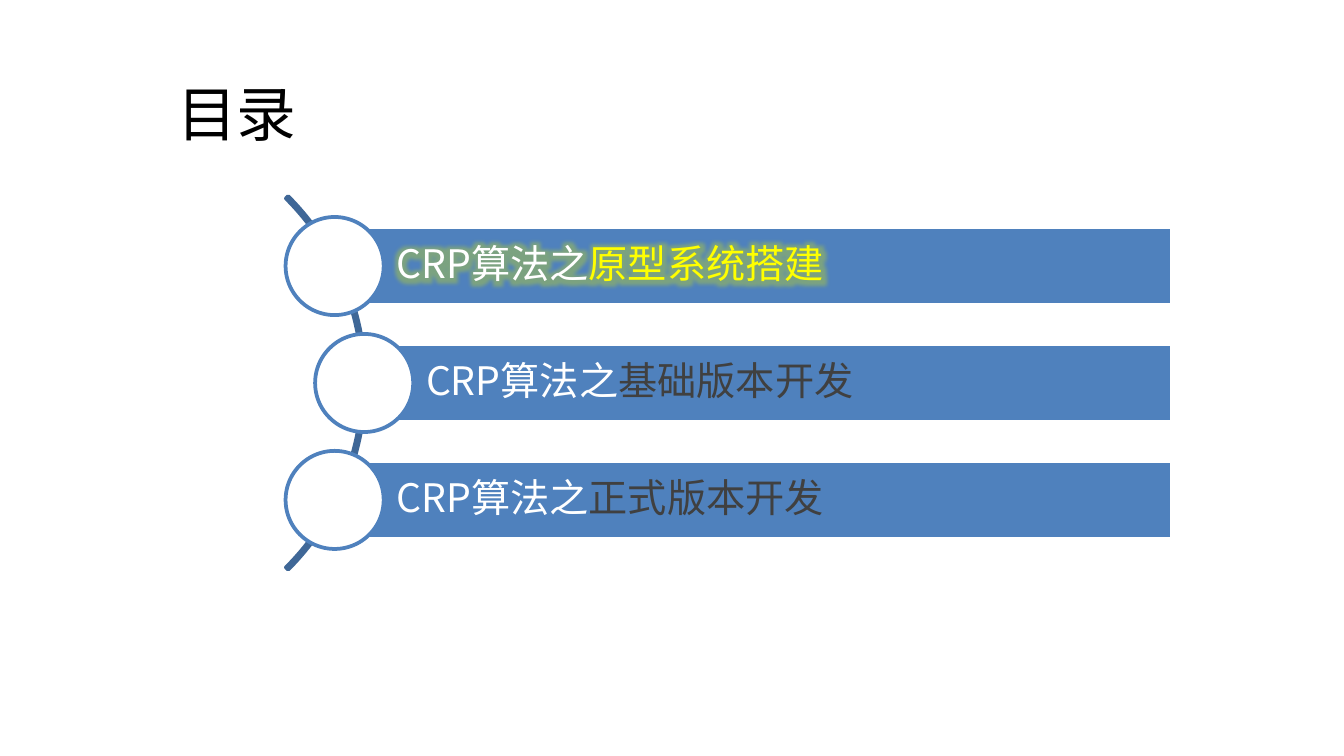
from lxml import etree
from pptx import Presentation
from pptx import util as u
from pptx.dml.color import RGBColor
from pptx.enum import shapes, text
from pptx.oxml import ns

FONT = "Noto Sans CJK SC"
BLACK = RGBColor(0x00, 0x00, 0x00)
WHITE = RGBColor(0xFF, 0xFF, 0xFF)
BLUE = RGBColor(0x4F, 0x81, 0xBD)
DARK_BLUE = RGBColor(0x3F, 0x67, 0x97)
YELLOW = RGBColor(0xFF, 0xFF, 0x00)
GREY = RGBColor(0x40, 0x40, 0x40)
GLOW = RGBColor(0x9B, 0xBB, 0x59)

SLIDE_WIDTH = 10
SLIDE_HEIGHT = SLIDE_WIDTH * 9 / 16
ROW_TOP, ROW_PITCH = 1.69, 0.87
BAR_HEIGHT, BAR_RIGHT = 0.58, 8.72
CIRCLE = 0.73
OUTER_LEFT, INNER_LEFT = 2.49, 2.71
ARC = 3.93

CHAPTERS = [
    ("原型系统搭建", YELLOW, OUTER_LEFT, True),
    ("基础版本开发", GREY, INNER_LEFT, False),
    ("正式版本开发", GREY, OUTER_LEFT, False),
]


def add_glow(run):
    fill = run.font._element.find(ns.qn("a:solidFill"))
    effects = etree.Element(ns.qn("a:effectLst"))
    glow = etree.SubElement(effects, ns.qn("a:glow"), rad=str(u.Pt(14)))
    colour = etree.SubElement(glow, ns.qn("a:srgbClr"), val=str(GLOW))
    etree.SubElement(colour, ns.qn("a:alpha"), val="60000")
    fill.addnext(effects)


def write(paragraph, words, size, colour, glow=False):
    run = paragraph.add_run()
    run.text = words
    run.font.size = u.Pt(size)
    run.font.color.rgb = colour
    run.font.name = FONT
    latin = run.font._element.find(ns.qn("a:latin"))
    latin.addnext(etree.Element(ns.qn("a:ea"), typeface=FONT))
    if glow:
        add_glow(run)


def set_frame(shape, left=0.1, other=0.05):
    frame = shape.text_frame
    frame.word_wrap = True
    frame.vertical_anchor = text.MSO_ANCHOR.MIDDLE
    frame.margin_left = u.Inches(left)
    frame.margin_top = frame.margin_right = frame.margin_bottom = u.Inches(other)
    paragraph = frame.paragraphs[0]
    paragraph.alignment = text.PP_ALIGN.LEFT
    return paragraph


def add_figure(slide, kind, left, top, width, height, line, fill=None):
    figure = slide.shapes.add_shape(kind, *map(u.Inches, (left, top, width, height)))
    figure.shadow.inherit = False
    if fill is None:
        figure.fill.background()
    else:
        figure.fill.solid()
        figure.fill.fore_color.rgb = fill
    figure.line.color.rgb = line
    figure.line.width = u.Pt(2)
    return figure


def add_title(slide, words):
    title = slide.shapes.add_textbox(*map(u.Inches, (1.22, 0.37, 7.24, 0.94)))
    write(set_frame(title), words, 32, BLACK)


def add_arc(slide):
    middle = ROW_TOP + ROW_PITCH + BAR_HEIGHT / 2
    arc = add_figure(slide, shapes.MSO_SHAPE.BLOCK_ARC, -1.21, middle - ARC / 2,
                     ARC, ARC, DARK_BLUE)
    for index, value in enumerate((189, 27, 0.006)):
        arc.adjustments[index] = value


def add_chapter(slide, row, topic, colour, left, glow):
    top = ROW_TOP + row * ROW_PITCH
    bar = add_figure(slide, shapes.MSO_SHAPE.RECTANGLE, left, top,
                     BAR_RIGHT - left, BAR_HEIGHT, WHITE, BLUE)
    label = set_frame(bar, 0.46, 0.06)
    label.line_spacing = 0.9
    write(label, "CRP算法之", 21, WHITE, glow=glow)
    write(label, topic, 21, colour, glow=glow)
    add_figure(slide, shapes.MSO_SHAPE.OVAL, left - CIRCLE / 2,
               top + (BAR_HEIGHT - CIRCLE) / 2, CIRCLE, CIRCLE, BLUE, WHITE)


def main():
    deck = Presentation()
    deck.slide_width = u.Inches(SLIDE_WIDTH)
    deck.slide_height = u.Inches(SLIDE_HEIGHT)
    slide = deck.slides.add_slide(deck.slide_layouts[6])
    add_title(slide, "目录")
    add_arc(slide)
    for row, chapter in enumerate(CHAPTERS):
        add_chapter(slide, row, *chapter)
    deck.save("out.pptx")


if __name__ == "__main__":
    main()
